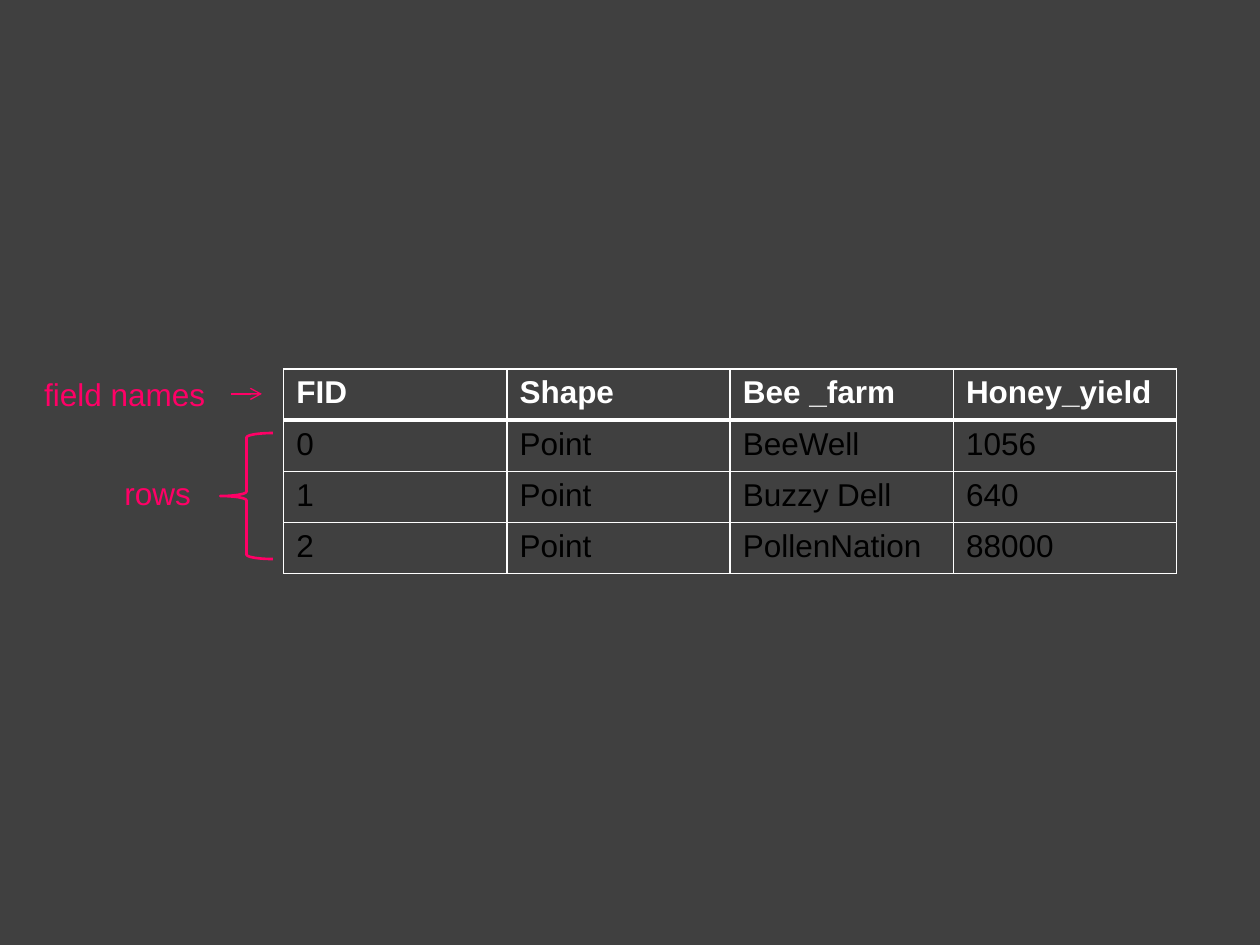
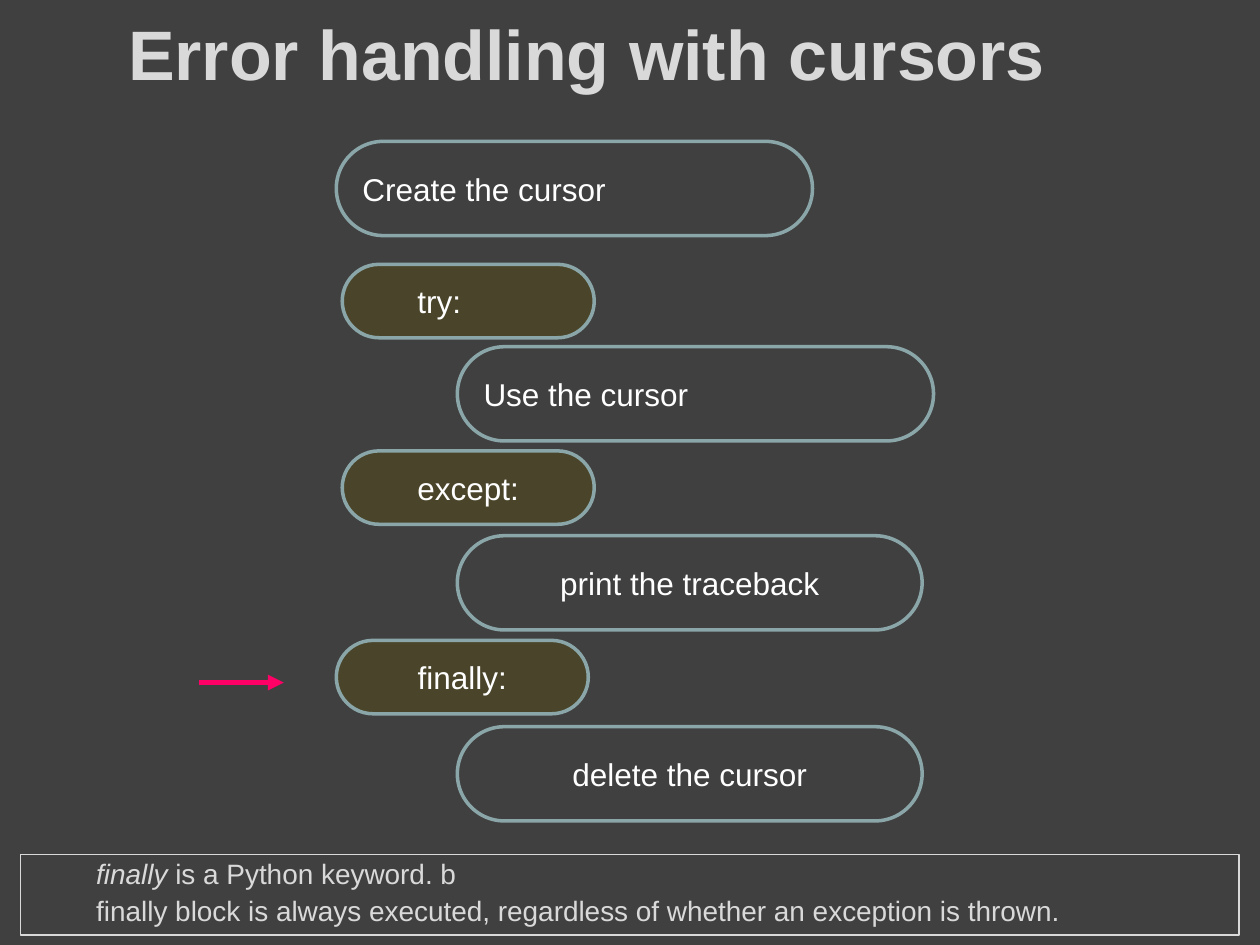
from lxml.etree import SubElement
from pptx import Presentation
from pptx.dml.color import RGBColor
from pptx.enum.shapes import MSO_CONNECTOR, MSO_SHAPE
from pptx.enum.text import MSO_ANCHOR, MSO_AUTO_SIZE, PP_ALIGN
from pptx.oxml import parse_xml
from pptx.oxml.ns import nsdecls, qn
from pptx.util import Cm, Pt

# Shared look
FONT = "Arial"
DARK = RGBColor(0x40, 0x40, 0x40)
PINK = RGBColor(0xFF, 0x00, 0x66)
WHITE = RGBColor(0xFF, 0xFF, 0xFF)
BLACK = RGBColor(0x00, 0x00, 0x00)
LIGHT = RGBColor(0xD9, 0xD9, 0xD9)
OLIVE = RGBColor(0x4A, 0x45, 0x2A)
TEAL = RGBColor(0x8A, 0xA6, 0xA8)
LEFT, CENTER = PP_ALIGN.LEFT, PP_ALIGN.CENTER

# Content of the table slide
FARMS = [
    ("FID", "Shape", "Bee _farm", "Honey_yield"),
    ("0", "Point", "BeeWell", "1056"),
    ("1", "Point", "Buzzy Dell", "640"),
    ("2", "Point", "PollenNation", "88000"),
]
TABLE_LEFT, TABLE_TOP, COL_W, ROW_H = 5.72, 7.44, 4.5, 1.03

# Content of the error handling slide
TITLE = "Error handling with cursors"
KEYWORD_H, STEP_H, KEYWORD_W = 1.48, 1.9, 5.08
# text, is keyword, left, top, width, alignment, extra left inset
FLOW = [
    ("Create the cursor", False, 6.78, 2.85, 9.6, LEFT, 0),
    ("try:", True, 6.9, 5.33, KEYWORD_W, LEFT, 1.05),
    ("Use the cursor", False, 9.22, 6.99, 9.6, LEFT, 0),
    ("except:", True, 6.9, 9.09, KEYWORD_W, CENTER, 0),
    ("print the traceback", False, 9.22, 10.8, 9.37, CENTER, 0),
    ("finally:", True, 6.78, 12.91, KEYWORD_W, CENTER, 0),
    ("delete the cursor", False, 9.22, 14.65, 9.37, CENTER, 0),
]
# Each line is a list of (text, italic) runs
NOTE = [
    [("finally", True), (" is a Python keyword. b", False)],
    [("finally block is always executed, regardless of whether "
      "an exception is thrown.", False)],
]


def add_run(p, text, size, color, bold=False, italic=False):
    r = p.add_run()
    r.text = text
    r.font.name, r.font.size = FONT, Pt(size)
    r.font.bold, r.font.italic = bold, italic
    r.font.color.rgb = color


def add_box(slide, kind, left, top, width, height, line, weight, fill=None):
    sp = slide.shapes.add_shape(kind, Cm(left), Cm(top), Cm(width), Cm(height))
    sp.shadow.inherit = False
    if fill is None:
        sp.fill.background()
    else:
        sp.fill.solid()
        sp.fill.fore_color.rgb = fill
    sp.line.color.rgb, sp.line.width = line, Pt(weight)
    return sp


def add_arrow(slide, x1, x2, y, weight, head):
    cx = slide.shapes.add_connector(MSO_CONNECTOR.STRAIGHT, Cm(x1), Cm(y), Cm(x2), Cm(y))
    cx.line.color.rgb, cx.line.width = PINK, Pt(weight)
    SubElement(cx.line._get_or_add_ln(), qn("a:tailEnd"), type=head)
    SubElement(cx._element.spPr, qn("a:effectLst"))
    return cx


def add_label(slide, text, left, top, width, height, wrap):
    sp = slide.shapes.add_textbox(Cm(left), Cm(top), Cm(width), Cm(height))
    sp.text_frame.word_wrap = wrap
    add_run(sp.text_frame.paragraphs[0], text, 18, PINK)
    return sp


def set_borders(cell, **weights):
    tc_pr = cell._tc.get_or_add_tcPr()
    for i, side in enumerate("LRTB"):
        tc_pr.insert(i, parse_xml(
            f'<a:ln{side} {nsdecls("a")} w="{Pt(weights.get(side, 1))}">'
            f'<a:solidFill><a:srgbClr val="{WHITE}"/></a:solidFill></a:ln{side}>'))


def build_table_slide(prs):
    s = prs.slides.add_slide(prs.slide_layouts[6])

    # Attribute table
    n_rows, n_cols = len(FARMS), len(FARMS[0])
    table = s.shapes.add_table(n_rows, n_cols, Cm(TABLE_LEFT), Cm(TABLE_TOP),
                               Cm(COL_W * n_cols), Cm(ROW_H * n_rows)).table
    table.horz_banding = False
    for i, row in enumerate(FARMS):
        header = i == 0
        for j, text in enumerate(row):
            cell = table.cell(i, j)
            cell.fill.background()
            set_borders(cell, B=3 if header else 1, T=3 if i == 1 else 1)
            add_run(cell.text_frame.paragraphs[0], text, 18,
                    WHITE if header else BLACK, bold=header)

    # Labels pointing at the header and the rows
    names = add_label(s, "field names", 0.64, 7.43, 4.01, 1.02, True)
    arrow = add_arrow(s, 4.65, 5.28, 7.94, 0.75, "arrow")
    arrow.begin_connect(names, 3)
    add_label(s, "rows", 2.26, 9.43, 1.85, 1.02, False)
    add_box(s, MSO_SHAPE.LEFT_BRACE, 4.44, 8.73, 1.06, 2.54, PINK, 1.5)


def build_error_slide(prs):
    s = prs.slides.add_slide(prs.slide_layouts[5])

    # Title
    title = s.shapes.title
    title.left, title.top, title.width, title.height = Cm(2.33), Cm(0.42), Cm(22.23), Cm(1.27)
    tf = title.text_frame
    tf.auto_size, tf.vertical_anchor = MSO_AUTO_SIZE.NONE, MSO_ANCHOR.MIDDLE
    tf.paragraphs[0].alignment = LEFT
    add_run(tf.paragraphs[0], TITLE, 40, LIGHT, bold=True)

    # Keywords and the steps under them
    for text, keyword, left, top, width, align, inset in FLOW:
        sp = add_box(s, MSO_SHAPE.ROUNDED_RECTANGLE, left, top, width,
                     KEYWORD_H if keyword else STEP_H, TEAL, 2, OLIVE if keyword else None)
        sp.adjustments[0] = 0.5
        tf = sp.text_frame
        tf.vertical_anchor = MSO_ANCHOR.MIDDLE
        tf.margin_left = Cm(0.25 + inset)
        tf.paragraphs[0].alignment = align
        add_run(tf.paragraphs[0], text, 18, WHITE)
    add_arrow(s, 4.02, 5.72, 13.76, 3, "triangle")

    # Note at the foot
    sp = add_box(s, MSO_SHAPE.RECTANGLE, 0.42, 17.22, 24.56, 1.63, LIGHT, 0.75, DARK)
    tf = sp.text_frame
    tf.vertical_anchor = MSO_ANCHOR.TOP
    for i, runs in enumerate(NOTE):
        p = tf.paragraphs[0] if i == 0 else tf.add_paragraph()
        p.alignment, p.level = LEFT, 1
        p.line_spacing, p.space_before = 0.9, Pt(4)
        p_pr = p._p.get_or_add_pPr()
        p_pr.set("marL", str(Cm(2.06)))
        p_pr.set("indent", str(Cm(-0.79)))
        for text, italic in runs:
            add_run(p, text, 16, LIGHT, italic=italic)


def main():
    prs = Presentation()
    prs.slide_width, prs.slide_height = Cm(25.4), Cm(19.05)
    background = prs.slide_master.background.fill
    background.solid()
    background.fore_color.rgb = DARK
    build_table_slide(prs)
    build_error_slide(prs)
    prs.save("out.pptx")


if __name__ == "__main__":
    main()
